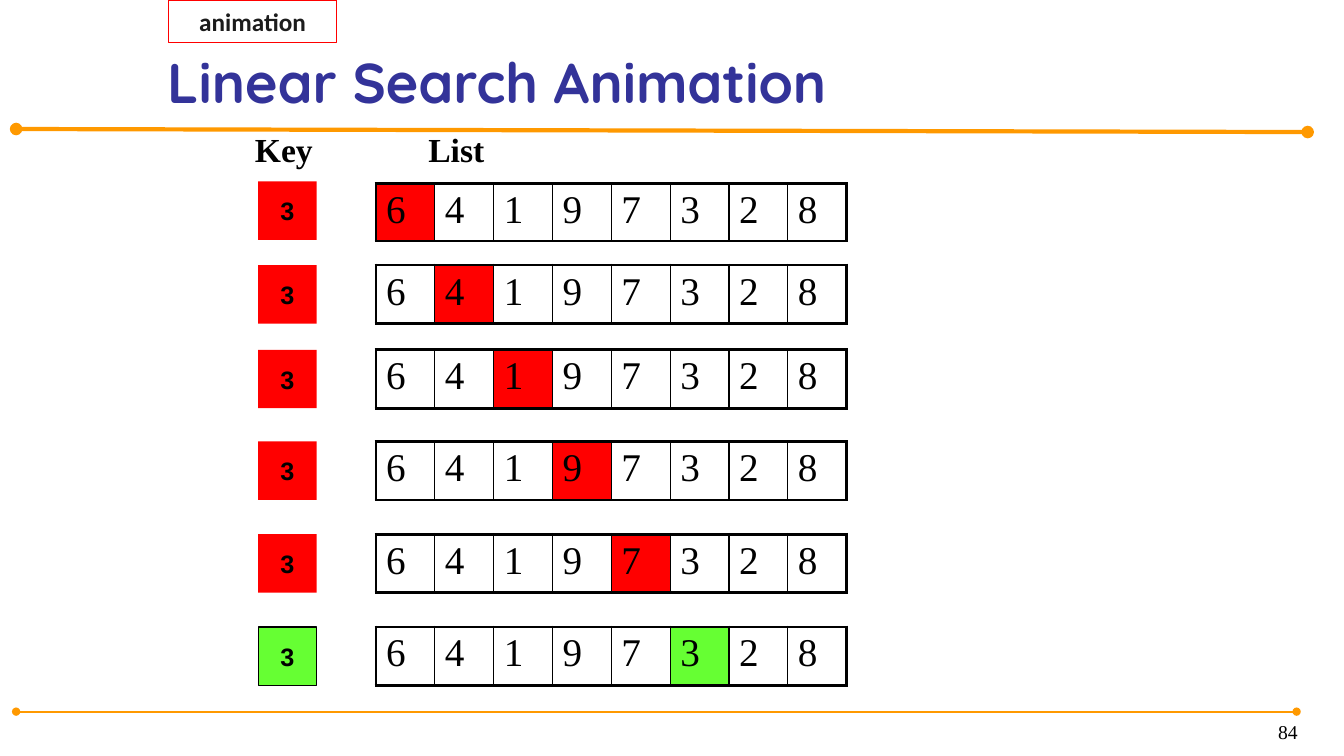
from lxml.etree import SubElement
from pptx import Presentation
from pptx.dml.color import RGBColor
from pptx.enum.shapes import MSO_CONNECTOR as CONNECTOR, MSO_SHAPE as SHAPE
from pptx.enum.text import MSO_ANCHOR as ANCHOR, PP_ALIGN as ALIGN
from pptx.oxml.ns import qn
from pptx.util import Inches, Pt

NUMBERS = [6, 4, 1, 9, 7, 3, 2, 8]
KEY = 3
STEP_TOPS = [1.8, 2.63, 3.47, 4.38, 5.3, 6.22]
FIRST_LIST_TOP, FIRST_LIST_HEIGHT = 1.82, 0.57
KEY_LEFT, LIST_LEFT, LIST_WIDTH, CELL = 2.56, 3.73, 4.67, 0.58
MISS, HIT, BLACK, RULE = "FF0000", "66FF33", "000000", "FF9900"
THICK, THIN = 2.25, 1

SERIF = {"name": "Times New Roman", "color": BLACK}
HEADING = {**SERIF, "size": 24, "bold": True}
NUMBER = {**SERIF, "size": 28}
KEY_FONT = {"name": "Arial", "size": 18, "bold": True, "color": BLACK}
TAG_FONT = {"name": "Calibri", "size": 18, "bold": True, "color": "1C1C1C"}
TITLE_FONT = {"name": "Quicksand", "size": 40, "bold": True, "color": "333399"}
PAGE_FONT = {**SERIF, "size": 14}

LABELS = [
    ("Linear Search Animation", (1.56, 0.06, 11.49, 1.13), TITLE_FONT, ANCHOR.BOTTOM, ALIGN.LEFT),
    ("84", (10.19, 6.98, 2.78, 0.44), PAGE_FONT, ANCHOR.BOTTOM, ALIGN.RIGHT),
    ("Key", (2.43, 1.23, 1.22, 0.5), HEADING, ANCHOR.TOP, ALIGN.LEFT),
    ("List", (4.15, 1.23, 2.44, 0.5), HEADING, ANCHOR.TOP, ALIGN.LEFT),
]
RULES = [((0.16, 1.28), (12.97, 1.31), 3), ((0.16, 7.06), (12.86, 7.06), 1.5)]


def rgb(color):
    return RGBColor.from_string(color)


def write(frame, text, style, align=ALIGN.LEFT):
    paragraph = frame.paragraphs[0]
    paragraph.alignment = align
    run = paragraph.add_run()
    run.text = str(text)
    for attribute, value in style.items():
        if attribute == "color":
            run.font.color.rgb = rgb(value)
        else:
            setattr(run.font, attribute, Pt(value) if attribute == "size" else value)


def add_label(slide, text, box, style, anchor, align):
    frame = slide.shapes.add_textbox(*map(Inches, box)).text_frame
    frame.word_wrap = True
    frame.vertical_anchor = anchor
    write(frame, text, style, align)


def add_box(slide, text, box, style, fill=None, line=None):
    shape = slide.shapes.add_shape(SHAPE.RECTANGLE, *map(Inches, box))
    shape.shadow.inherit = False
    if fill:
        shape.fill.solid()
        shape.fill.fore_color.rgb = rgb(fill)
    else:
        shape.fill.background()
    if line:
        color, width = line
        shape.line.color.rgb = rgb(color)
        shape.line.width = Pt(width)
    else:
        shape.line.fill.background()
    shape.text_frame.word_wrap = False
    shape.text_frame.vertical_anchor = ANCHOR.MIDDLE
    write(shape.text_frame, text, style, ALIGN.CENTER)


def add_rule(slide, start, end, width):
    rule = slide.shapes.add_connector(CONNECTOR.STRAIGHT, *map(Inches, start + end))
    rule.line.color.rgb = rgb(RULE)
    rule.line.width = Pt(width)
    outline = rule.line._get_or_add_ln()
    for tip in ("a:headEnd", "a:tailEnd"):
        SubElement(outline, qn(tip), type="oval")
    SubElement(rule._element.spPr, qn("a:effectLst"))


def set_borders(cell, widths):
    properties = cell._tc.get_or_add_tcPr()
    for side, width in widths.items():
        border = SubElement(properties, qn(f"a:ln{side}"), w=str(Pt(width)))
        fill = SubElement(border, qn("a:solidFill"))
        SubElement(fill, qn("a:srgbClr"), val=BLACK)


def add_list(slide, top, height, checked, color):
    box = map(Inches, (LIST_LEFT, top, LIST_WIDTH, height))
    table = slide.shapes.add_table(1, len(NUMBERS), *box).table
    table.first_row = table.horz_banding = False
    last = len(NUMBERS) - 1
    for index, number in enumerate(NUMBERS):
        cell = table.cell(0, index)
        set_borders(cell, {
            "L": THICK if index == 0 else THIN,
            "R": THICK if index == last else THIN,
            "T": THICK,
            "B": THICK,
        })
        if index == checked:
            cell.fill.solid()
            cell.fill.fore_color.rgb = rgb(color)
        else:
            cell.fill.background()
        write(cell.text_frame, number, NUMBER)


def main():
    """Build the linear search slide."""
    deck = Presentation()
    deck.slide_width, deck.slide_height = Inches(13.33), Inches(7.5)
    slide = deck.slides.add_slide(deck.slide_layouts[6])
    for rule in RULES:
        add_rule(slide, *rule)
    for label in LABELS:
        add_label(slide, *label)
    for step, top in enumerate(STEP_TOPS):
        found = NUMBERS[step] == KEY
        color = HIT if found else MISS
        list_top, height = (FIRST_LIST_TOP, FIRST_LIST_HEIGHT) if step == 0 else (top, CELL)
        add_list(slide, list_top, height, step, color)
        add_box(slide, KEY, (KEY_LEFT, top, CELL, CELL), KEY_FONT, color,
                (BLACK, 0.75) if found else None)
    add_box(slide, "animation", (1.67, 0, 1.67, 0.42), TAG_FONT, line=(MISS, 1))
    deck.save("out.pptx")


if __name__ == "__main__":
    main()
